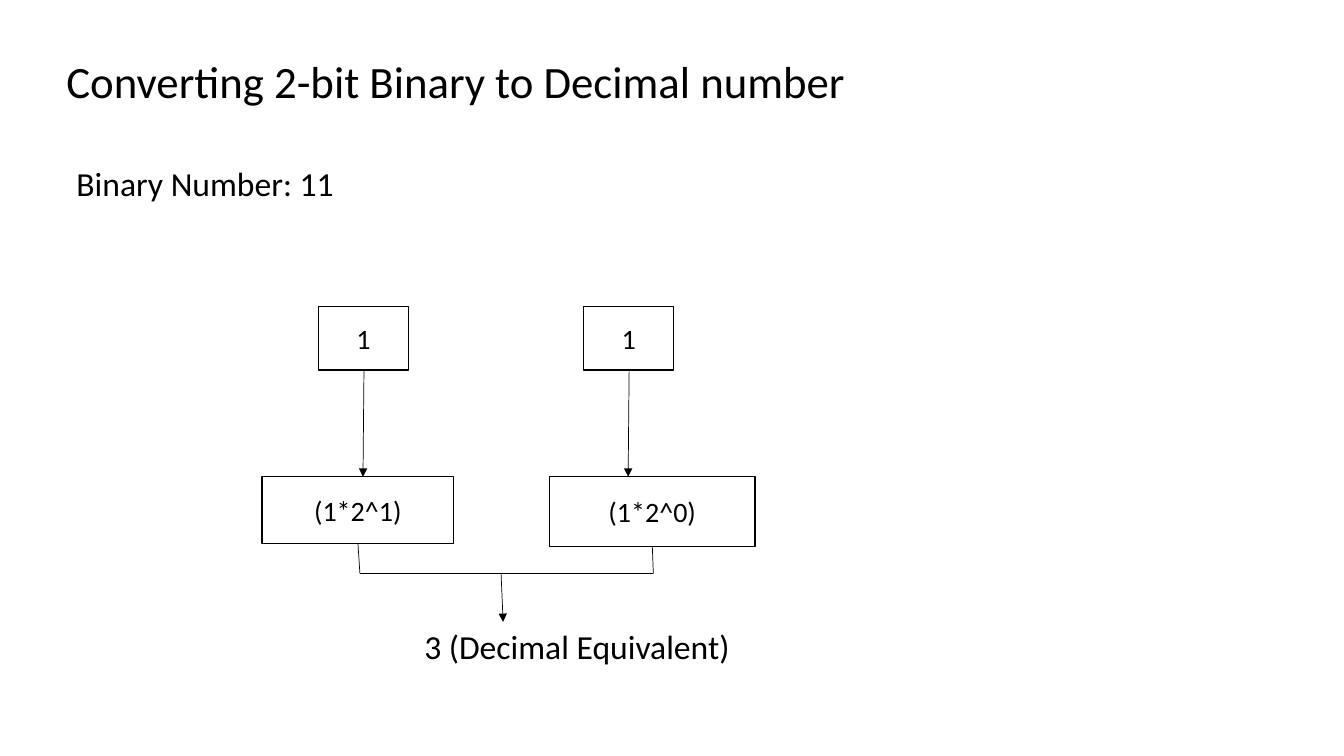
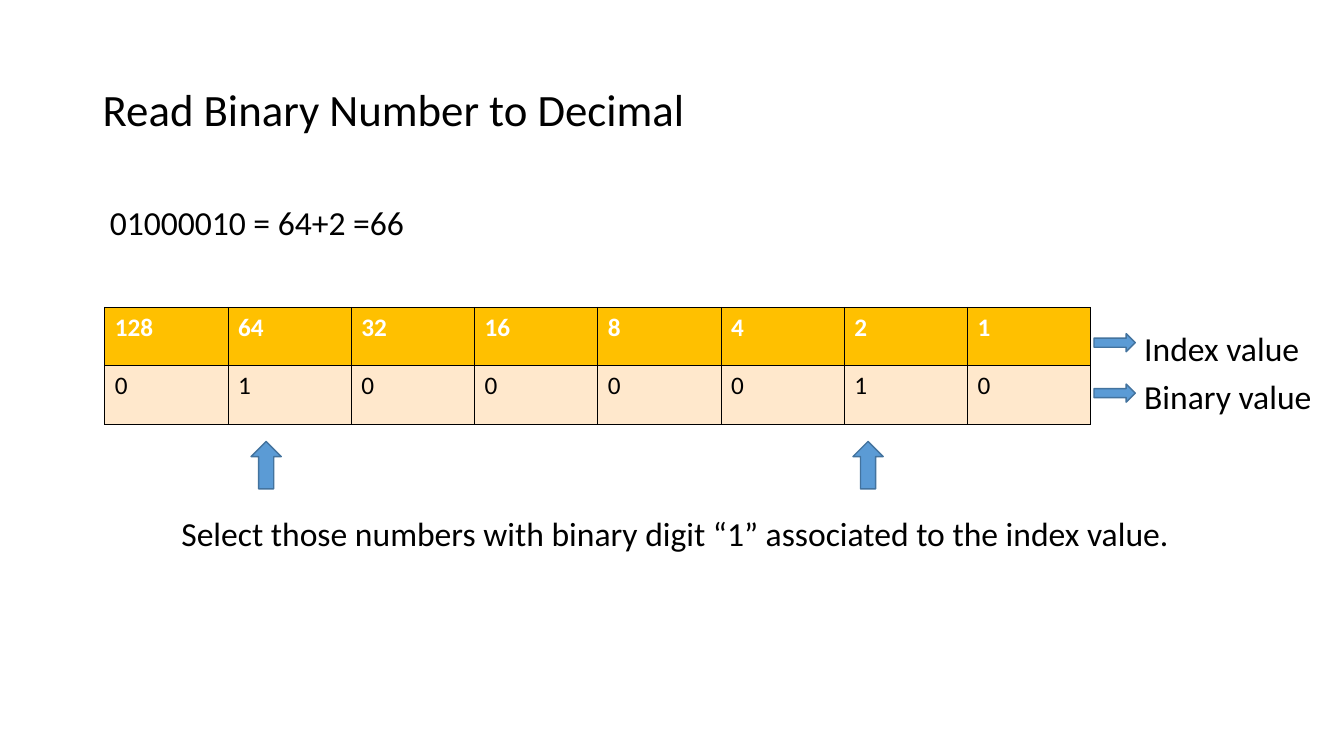
from pptx import Presentation
from pptx.dml.color import RGBColor
from pptx.enum.shapes import MSO_CONNECTOR, MSO_SHAPE
from pptx.enum.text import MSO_ANCHOR, PP_ALIGN
from pptx.oxml.ns import qn
from pptx.util import Inches, Pt
from lxml import etree

BLACK = RGBColor(0x00, 0x00, 0x00)
WHITE = RGBColor(0xFF, 0xFF, 0xFF)
GOLD = RGBColor(0xFF, 0xC0, 0x00)
CREAM = RGBColor(0xFF, 0xE8, 0xCC)
BLUE = RGBColor(0x5B, 0x9B, 0xD5)
DARK_BLUE = RGBColor(0x43, 0x73, 0x9E)
FONT = "Calibri"
TITLE_SIZE, TEXT_SIZE, BOX_SIZE, CELL_SIZE = 32, 24, 20, 18


def add_text(page, text, left, top, width, height, size=TEXT_SIZE,
             wrap=True, anchor=MSO_ANCHOR.TOP, spacing=0.9):
    frame = page.shapes.add_textbox(
        Inches(left), Inches(top), Inches(width), Inches(height)).text_frame
    frame.word_wrap = wrap
    frame.vertical_anchor = anchor
    para = frame.paragraphs[0]
    para.text = text
    para.line_spacing = spacing
    para.font.name, para.font.size = FONT, Pt(size)
    para.font.color.rgb = BLACK


def add_shape(page, kind, left, top, width, height, fill, line, text=""):
    shape = page.shapes.add_shape(
        kind, Inches(left), Inches(top), Inches(width), Inches(height))
    shape.shadow.inherit = False
    shape.fill.solid()
    shape.fill.fore_color.rgb = fill
    shape.line.color.rgb = line
    shape.line.width = Pt(1)
    if text:
        shape.text_frame.vertical_anchor = MSO_ANCHOR.MIDDLE
        para = shape.text_frame.paragraphs[0]
        para.text = text
        para.alignment = PP_ALIGN.CENTER
        para.font.name, para.font.size = FONT, Pt(BOX_SIZE)
        para.font.color.rgb = BLACK


deck = Presentation()
deck.slide_width, deck.slide_height = Inches(13.33), Inches(7.5)
blank = deck.slide_layouts[6]
conversion_page = deck.slides.add_slide(blank)
reading_page = deck.slides.add_slide(blank)

# Titles and opening lines
for page, title, left, top, width in [
    (conversion_page, "Converting 2-bit Binary to Decimal number", 0.56, 0.53, 8.94),
    (reading_page, "Read Binary Number to Decimal", 0.92, 0.81, 7.98),
]:
    add_text(page, title, left, top, width, 0.6, TITLE_SIZE, anchor=MSO_ANCHOR.MIDDLE)
add_text(conversion_page, "Binary Number: 11", 0.66, 1.61, 11.06, 5.51)
add_text(reading_page, "01000010 = 64+2 =66", 0.99, 2, 11.59, 5.16)

# Conversion: digits and their weighted values
for text, left, top, width, height in [
    ("1", 3.16, 3.04, 0.89, 0.63),
    ("1", 5.79, 3.04, 0.89, 0.63),
    ("(1*2^1)", 2.6, 4.73, 1.9, 0.66),
    ("(1*2^0)", 5.45, 4.73, 2.04, 0.69),
]:
    add_shape(conversion_page, MSO_SHAPE.RECTANGLE, left, top, width, height,
              WHITE, BLACK, text)

# Conversion: arrows and the bracket that joins the values
for start_x, start_y, end_x, end_y, has_head in [
    (3.61, 3.68, 3.6, 4.73, True),
    (6.24, 3.68, 6.23, 4.73, True),
    (3.55, 5.39, 3.57, 5.69, False),
    (6.47, 5.42, 6.48, 5.69, False),
    (3.57, 5.69, 6.48, 5.69, False),
    (4.97, 5.69, 4.99, 6.17, True),
]:
    connector = conversion_page.shapes.add_connector(
        MSO_CONNECTOR.STRAIGHT, Inches(start_x), Inches(start_y),
        Inches(end_x), Inches(end_y))
    connector.line.color.rgb = BLACK
    connector.line.width = Pt(0.5)
    properties = connector._element.spPr
    if has_head:
        etree.SubElement(properties.find(qn("a:ln")), qn("a:tailEnd"), type="triangle")
    etree.SubElement(properties, qn("a:effectLst"))

add_text(conversion_page, "3 (Decimal Equivalent)", 4.11, 6.16, 3.26, 0.5,
         wrap=False, spacing=1)

# Reading: table of index values and binary digits
digits = "01000010"
index_values = [2 ** power for power in reversed(range(len(digits)))]
table = reading_page.shapes.add_table(
    2, len(digits), Inches(1.04), Inches(3.05), Inches(9.78), Inches(1.16)).table
for row, (values, fill, color, bold) in enumerate([
    (index_values, GOLD, WHITE, True),
    (digits, CREAM, BLACK, False),
]):
    for column, value in enumerate(values):
        cell = table.cell(row, column)
        para = cell.text_frame.paragraphs[0]
        para.text = str(value)
        para.font.name, para.font.size = FONT, Pt(CELL_SIZE)
        para.font.bold = bold
        para.font.color.rgb = color
        # Borders come before the fill in the cell properties
        properties = cell._tc.get_or_add_tcPr()
        for side in ("a:lnL", "a:lnR", "a:lnT", "a:lnB"):
            border = etree.SubElement(properties, qn(side), w=str(Pt(1)))
            solid = etree.SubElement(border, qn("a:solidFill"))
            etree.SubElement(solid, qn("a:srgbClr"), val=str(BLACK))
        cell.fill.solid()
        cell.fill.fore_color.rgb = fill

# Reading: arrows under the chosen digits
for left in (2.49, 8.46):
    add_shape(reading_page, MSO_SHAPE.UP_ARROW, left, 4.38, 0.3, 0.47, BLUE, DARK_BLUE)
add_text(reading_page,
         "Select those numbers with binary digit “1” associated to the index value.",
         1.7, 5.04, 10.08, 0.5, wrap=False, spacing=1)

# Reading: row labels
for label, arrow_top, label_top, width in [
    ("Index value", 3.31, 3.2, 1.76),
    ("Binary value", 3.81, 3.68, 1.88),
]:
    add_shape(reading_page, MSO_SHAPE.RIGHT_ARROW, 10.85, arrow_top, 0.41, 0.18,
              BLUE, DARK_BLUE)
    add_text(reading_page, label, 11.25, label_top, width, 0.5, wrap=False, spacing=1)

deck.save("out.pptx")
